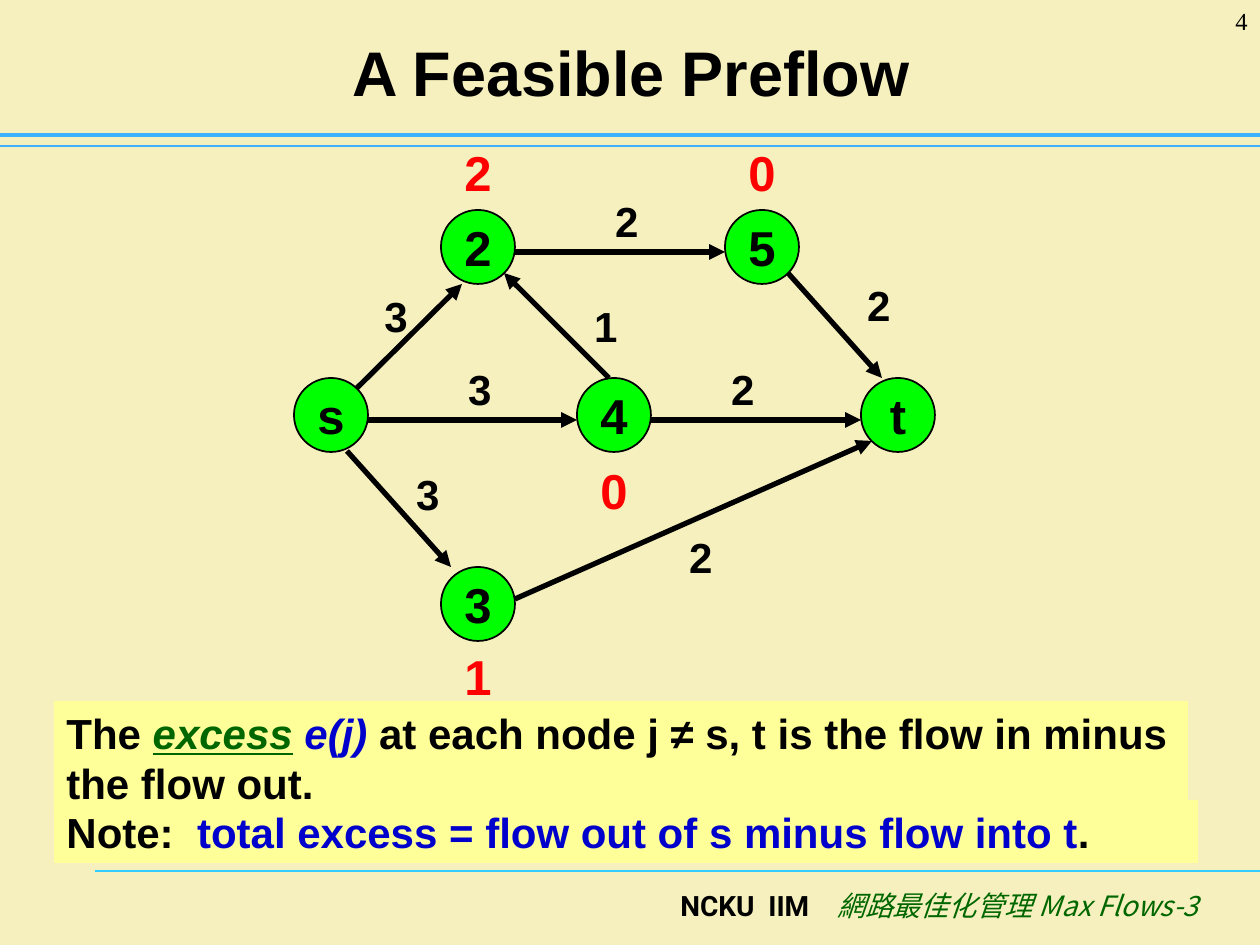
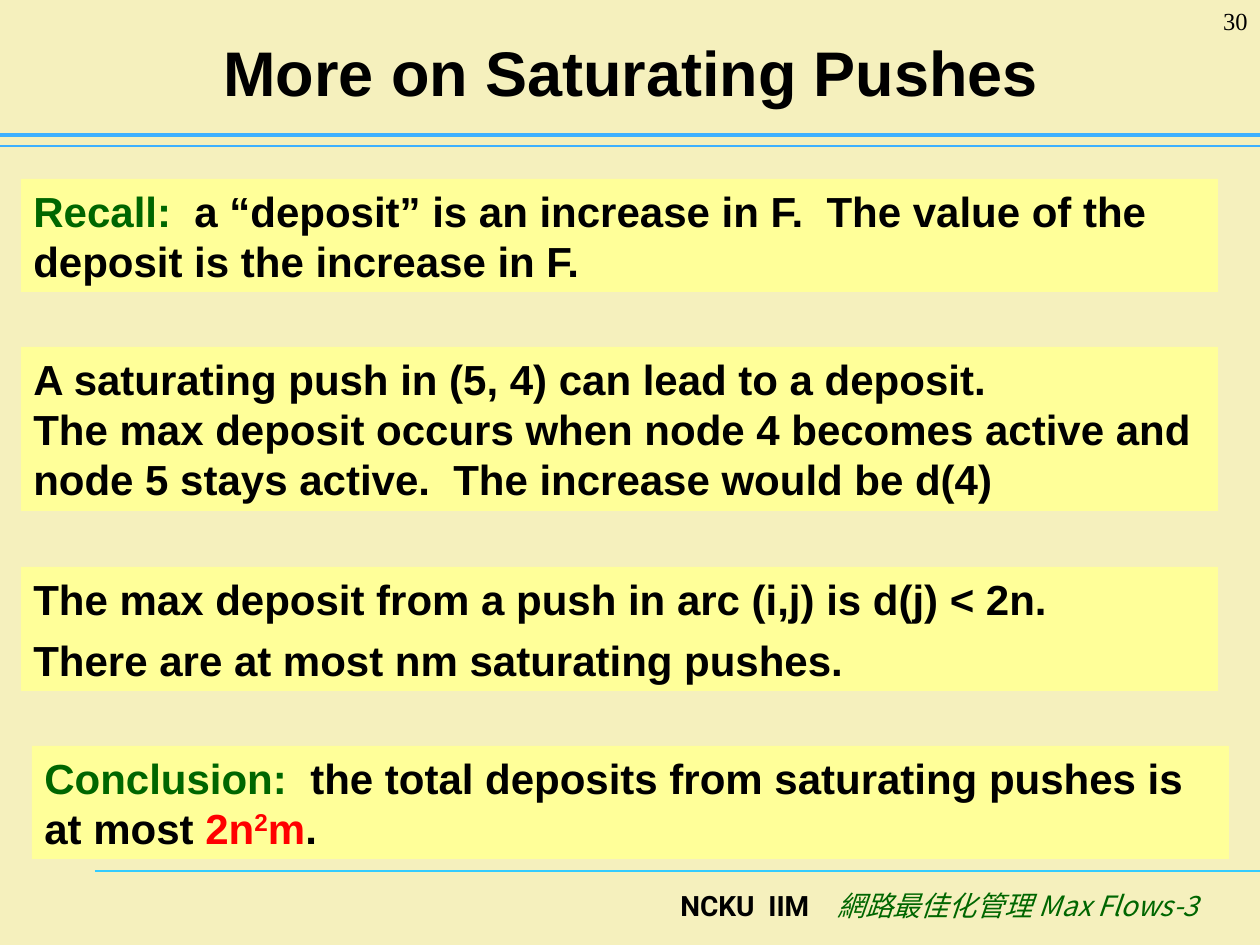
from lxml.etree import SubElement
from pptx import Presentation
from pptx.dml.color import RGBColor
from pptx.enum.shapes import MSO_CONNECTOR, MSO_SHAPE
from pptx.enum.text import MSO_ANCHOR, PP_ALIGN
from pptx.oxml.ns import qn
from pptx.util import Pt

PX = 7257  # EMU per px, 126 px to the inch
BLACK, GREEN, BLUE, RED = "000000", "006600", "0000CC", "FF0000"
CREAM, YELLOW, NODE, SKY, CYAN = "F5F0BD", "FFFF99", "00FF00", "3DB0FF", "33CCFF"
rgb = RGBColor.from_string


def add_text(s, box, paras, size, align=PP_ALIGN.LEFT, shape=None, fill=None):
    """Each paragraph is a list of (text, colour, style); style holds i, u or ^."""
    box = [v * PX for v in box]
    if shape is None:
        sp = s.shapes.add_textbox(*box)
    else:
        sp = s.shapes.add_shape(shape, *box)
        sp.shadow.inherit = False
        sp.fill.solid()
        sp.fill.fore_color.rgb = rgb(fill)
        sp.line.fill.background()
    tf = sp.text_frame
    tf.word_wrap = True
    tf.vertical_anchor = MSO_ANCHOR.TOP
    for i, parts in enumerate(paras):
        p = tf.paragraphs[0] if i == 0 else tf.add_paragraph()
        p.alignment = align
        if i:
            p.space_before = Pt(6)
        for text, color, style in parts:
            if text == "\v":
                p.add_line_break()
                continue
            r = p.add_run()
            r.text = text
            r.font.name, r.font.size, r.font.bold = "Arial", Pt(size), True
            r.font.color.rgb = rgb(color)
            r.font.italic, r.font.underline = "i" in style, "u" in style
            if "^" in style:
                r.font._element.set("baseline", "30000")
    return sp


def add_line(s, ends, color, width, arrow=False):
    c = s.shapes.add_connector(MSO_CONNECTOR.STRAIGHT, *[v * PX for v in ends])
    c.line.color.rgb = rgb(color)
    c.line.width = Pt(width)
    spPr = c._element.spPr
    if arrow:
        SubElement(spPr.find(qn("a:ln")), qn("a:tailEnd"), type="triangle")
    SubElement(spPr, qn("a:effectLst"))
    return c


prs = Presentation()
prs.slide_width, prs.slide_height = 1260 * PX, 945 * PX

# Shared layout: background, title place
layout = prs.slide_layouts[5]
layout.background.fill.solid()
layout.background.fill.fore_color.rgb = rgb(CREAM)
for ph in list(layout.placeholders):
    if ph.placeholder_format.idx:
        ph._element.getparent().remove(ph._element)
title = layout.placeholders[0]
title.left, title.top, title.width, title.height = [v * PX for v in (64, 16, 1134, 110)]

# Titles and page numbers
slides = []
for heading, number in (("A Feasible Preflow", "4"), ("More on Saturating Pushes", "30")):
    s = prs.slides.add_slide(layout)
    tf = s.shapes.title.text_frame
    tf.text = heading
    tf.vertical_anchor = MSO_ANCHOR.MIDDLE
    p = tf.paragraphs[0]
    p.alignment = PP_ALIGN.CENTER
    f = p.runs[0].font
    f.name, f.size, f.bold = "Arial", Pt(36), True
    f.color.rgb = rgb(BLACK)
    sp = add_text(s, (1155, 0, 105, 63), [[(number, BLACK, "")]], 14, PP_ALIGN.RIGHT)
    f = sp.text_frame.paragraphs[0].runs[0].font
    f.name, f.bold = "Times New Roman", False
    slides.append(s)
preflow, pushes = slides

# Shared rules and footer, moved to the layout
footer = add_text(preflow, (231, 882, 980, 63),
                  [[("NCKU  IIM", BLACK, ""), (" ", BLACK, ""),
                    ("網路最佳化管理 Max Flows-3", GREEN, "i")]], 16, PP_ALIGN.RIGHT)
school, gap, course = footer.text_frame.paragraphs[0].runs
school.font.name = gap.font.name = "Roboto"
gap.font._element.set("spc", "1200")
course.font.name, course.font.bold = "Noto Sans CJK SC", False
SubElement(course.font._element, qn("a:ea"), typeface="Noto Sans CJK SC")
shared = [
    add_line(preflow, (95, 871, 1260, 871), CYAN, 0.75),
    add_line(preflow, (0, 146, 1260, 146), SKY, 0.75),
    add_line(preflow, (0, 135, 1260, 135), SKY, 2.5),
    footer,
]
for sp in shared:
    layout.shapes._spTree.append(sp._element)

# Slide 1: definition of excess
add_text(preflow, (54, 701, 1134, 113),
         [[("The ", BLACK, ""), ("excess", GREEN, "iu"), (" ", BLACK, ""), ("e(j)", BLUE, "i"),
           (" at each node j ≠ s, t is the flow in minus the flow out.", BLACK, "")]],
         24, shape=MSO_SHAPE.RECTANGLE, fill=YELLOW)

# Slide 1: nodes with their excess (name, x, y, excess, offset of excess)
nodes = [
    ("s", 294, 378, None, 0),
    ("3", 441, 567, "1", 73),
    ("4", 577, 378, "0", 76),
    ("2", 441, 210, "2", -74),
    ("5", 725, 210, "0", -74),
    ("t", 861, 378, None, 0),
]
for name, x, y, excess, dy in nodes:
    sp = add_text(preflow, (x, y, 74, 74), [[(name, BLACK, "")]], 28,
                  PP_ALIGN.CENTER, MSO_SHAPE.OVAL, NODE)
    sp.text_frame.word_wrap = False
    sp.text_frame.vertical_anchor = MSO_ANCHOR.MIDDLE
    sp.line.color.rgb = rgb(BLACK)
    sp.line.width = Pt(1)
    if excess:
        add_text(preflow, (x, y + dy, 63, 72), [[(excess, RED, "")]], 28, PP_ALIGN.RIGHT)

# Slide 1: arcs (ends, flow, corner of the flow label)
arcs = [
    ((357, 388, 462, 284), "3", (357, 284)),
    ((347, 451, 451, 567), "3", (389, 462)),
    ((515, 252, 725, 252), "2", (588, 189)),
    ((368, 420, 577, 420), "3", (441, 357)),
    ((609, 378, 504, 273), "1", (567, 294)),
    ((651, 420, 861, 420), "2", (704, 357)),
    ((515, 599, 872, 441), "2", (662, 525)),
    ((788, 273, 882, 378), "2", (840, 273)),
]
for ends, flow, corner in arcs:
    add_line(preflow, ends, BLACK, 3, arrow=True)
    add_text(preflow, (*corner, 63, 63), [[(flow, BLACK, "")]], 24, PP_ALIGN.RIGHT)

# Slide 1: note
add_text(preflow, (54, 800, 1144, 63),
         [[("Note:  ", BLACK, ""), ("total excess = flow out of s minus flow into t", BLUE, ""),
           (".", BLACK, "")]],
         24, shape=MSO_SHAPE.RECTANGLE, fill=YELLOW)

# Slide 2: argument boxes (x, y, height, paragraphs)
boxes = [
    (21, 179, 113, [[
        ("Recall:  ", GREEN, ""),
        ("a “deposit” is an increase in F.  The value of the deposit is the increase in F.",
         BLACK, "")]]),
    (21, 347, 164, [[
        ("A saturating push in (5, 4) can lead to a deposit.", BLACK, ""),
        ("\v", BLACK, ""),
        ("The max deposit occurs when node 4 becomes active and node 5 stays active.  "
         "The increase would be d(4)", BLACK, "")]]),
    (21, 567, 124, [
        [("The max deposit from a push in arc (i,j) is d(j) < 2n.", BLACK, "")],
        [("There are at most nm saturating pushes.", BLACK, "")]]),
    (32, 746, 113, [[
        ("Conclusion:  ", GREEN, ""),
        ("the total deposits from saturating pushes is at most ", BLACK, ""),
        ("2n", RED, ""), ("2", RED, "^"), ("m", RED, ""), (".", BLACK, "")]]),
]
for x, y, h, paras in boxes:
    add_text(pushes, (x, y, 1197, h), paras, 24, shape=MSO_SHAPE.RECTANGLE, fill=YELLOW)

prs.save("out.pptx")
